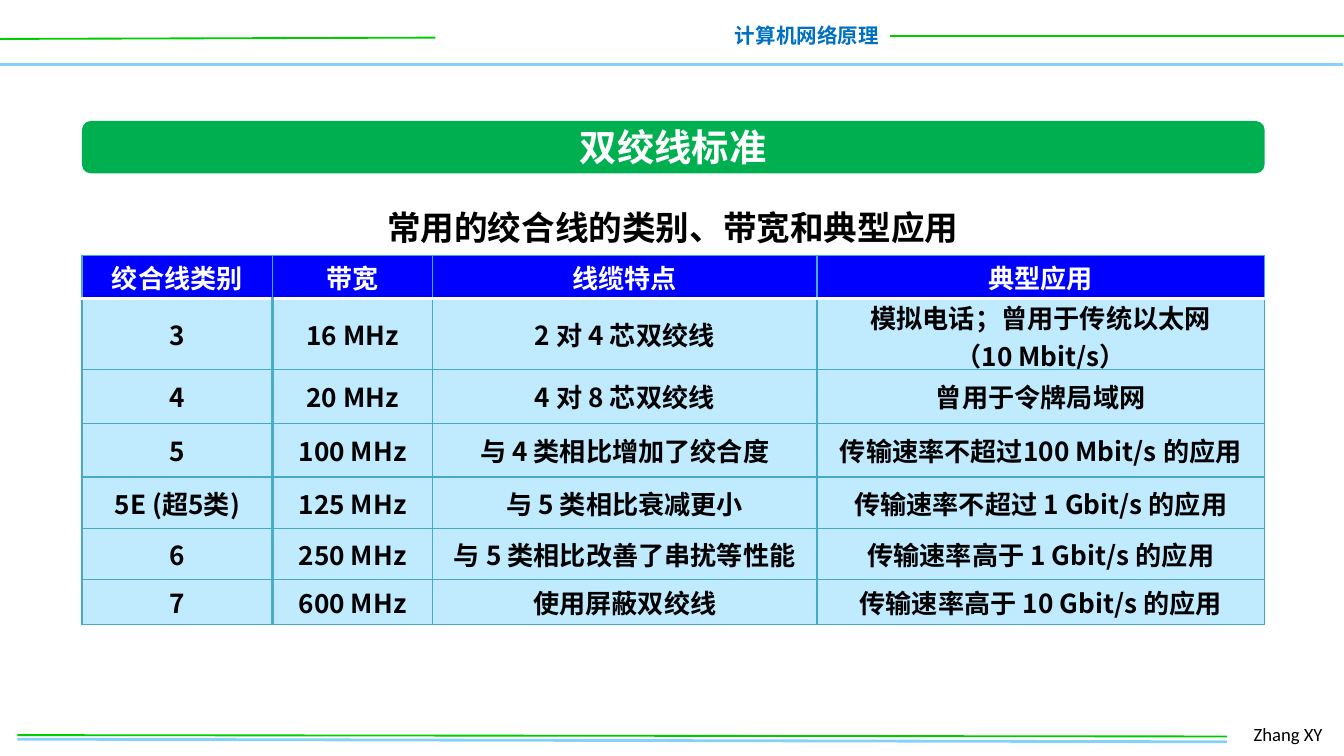
from dataclasses import dataclass
from lxml import etree
from pptx import Presentation
from pptx.dml.color import RGBColor
from pptx.enum import shapes, text
from pptx.oxml import ns
from pptx.util import Inches, Pt


@dataclass(frozen=True)
class Theme:
    cjk: str = "Noto Sans CJK SC"
    latin: str = "Calibri"
    sky: str = "85D1F7"
    lime: str = "00CC00"
    blue: str = "0070C0"
    green: str = "00B050"
    head: str = "0000FF"
    body: str = "C0EBFF"
    edge: str = "46AAC5"
    rule: str = "4BACC6"
    white: str = "FFFFFF"
    black: str = "000000"
    brand: int = 11
    foot: int = 10
    title: int = 20
    lead: int = 18
    cell: int = 14


@dataclass(frozen=True)
class Line:
    x1: float
    y1: float
    x2: float
    y2: float
    color: str
    width: float


@dataclass(frozen=True)
class Label:
    words: str
    x: float
    y: float
    w: float
    h: float
    size: int
    color: str
    font: str
    align: text.PP_ALIGN
    bold: bool = True
    wrap: bool = False


T = Theme()
MID = text.PP_ALIGN.CENTER

LINES = [
    Line(-0.01, 0.48, 9.99, 0.48, T.sky, 2),
    Line(0, 0.29, 3.24, 0.28, T.lime, 1),
    Line(6.62, 0.27, 10.01, 0.27, T.lime, 1),
    Line(0.13, 5.5, 9.13, 5.52, T.sky, 1.5),
    Line(0.13, 5.47, 9.13, 5.48, T.lime, 1),
]
TITLE = Label("双绞线标准", 4.21, 0.87, 1.6, 0.44, T.title, T.white, T.cjk, MID)
LABELS = [
    Label("计算机网络原理", 5.36, 0.12, 1.28, 0.29, T.brand, T.blue, T.cjk,
          text.PP_ALIGN.RIGHT),
    Label("Zhang XY", 9.23, 5.33, 0.74, 0.27, T.foot, T.black, T.latin,
          text.PP_ALIGN.LEFT, False, True),
    Label("常用的绞合线的类别、带宽和典型应用", 2.76, 1.49, 4.49, 0.4, T.lead,
          T.black, T.cjk, MID),
]
COLS = [1.42, 1.19, 2.86, 3.33]
ROWS = [0.32, 0.53, 0.4, 0.4, 0.38, 0.38, 0.34]
CELLS = [
    ["绞合线类别", "带宽", "线缆特点", "典型应用"],
    ["3", "16 MHz", "2 对 4 芯双绞线", "模拟电话；曾用于传统以太网\n（10 Mbit/s）"],
    ["4", "20 MHz", "4 对 8 芯双绞线", "曾用于令牌局域网"],
    ["5", "100 MHz", "与 4 类相比增加了绞合度", "传输速率不超过100 Mbit/s 的应用"],
    ["5E (超5类)", "125 MHz", "与 5 类相比衰减更小", "传输速率不超过 1 Gbit/s 的应用"],
    ["6", "250 MHz", "与 5 类相比改善了串扰等性能", "传输速率高于 1 Gbit/s 的应用"],
    ["7", "600 MHz", "使用屏蔽双绞线", "传输速率高于 10 Gbit/s 的应用"],
]


def style(frame, size: int, color: str, font: str, align, bold: bool) -> None:
    for para in frame.paragraphs:
        para.alignment = align
        para.font.size = Pt(size)
        para.font.bold = bold
        para.font.color.rgb = RGBColor.from_string(color)
        para.font.name = font
        props = para._p.pPr.find(ns.qn("a:defRPr"))
        face = etree.SubElement(props, ns.qn("a:ea"))
        face.set("typeface", font)


def draw_line(slide, line: Line) -> None:
    wire = slide.shapes.add_connector(
        shapes.MSO_CONNECTOR.STRAIGHT, Inches(line.x1), Inches(line.y1),
        Inches(line.x2), Inches(line.y2))
    wire.line.color.rgb = RGBColor.from_string(line.color)
    wire.line.width = Pt(line.width)
    etree.SubElement(wire._element.spPr, ns.qn("a:effectLst"))


def fill_label(box, label: Label) -> None:
    box.left, box.top = Inches(label.x), Inches(label.y)
    box.width, box.height = Inches(label.w), Inches(label.h)
    frame = box.text_frame
    frame.text = label.words
    frame.word_wrap = label.wrap
    frame.auto_size = text.MSO_AUTO_SIZE.SHAPE_TO_FIT_TEXT
    frame.vertical_anchor = text.MSO_ANCHOR.TOP
    style(frame, label.size, label.color, label.font, label.align, label.bold)


def draw_label(slide, label: Label) -> None:
    fill_label(slide.shapes.add_textbox(0, 0, 0, 0), label)


def draw_title(slide) -> None:
    bar = slide.shapes.add_shape(
        shapes.MSO_SHAPE.ROUNDED_RECTANGLE, Inches(0.61), Inches(0.9),
        Inches(8.8), Inches(0.39))
    bar.adjustments[0] = 0.17
    bar.shadow.inherit = False
    bar.fill.solid()
    bar.fill.fore_color.rgb = RGBColor.from_string(T.green)
    bar.line.fill.background()
    title = slide.shapes.title
    fill_label(title, TITLE)
    bar._element.addnext(title._element)


def add_edge(cell, side: str, color: str, width: float) -> None:
    edge = etree.SubElement(cell._tc.get_or_add_tcPr(), ns.qn(f"a:ln{side}"))
    edge.set("w", str(Pt(width)))
    fill = etree.SubElement(edge, ns.qn("a:solidFill"))
    etree.SubElement(fill, ns.qn("a:srgbClr")).set("val", color)


def draw_cell(cell, words: str, row: int, col: int) -> None:
    edges = {side: (T.edge, 0.75) for side in "LRTB"}
    if row == 0:
        edges["B"] = (T.white, 2)
    if row == 1 and col > 0:
        edges["T"] = (T.white, 2)
    if row > 0 and col < 2:
        edges["LR"[col == 0]] = (T.rule, 2)
    for side, (color, width) in edges.items():
        add_edge(cell, side, color, width)
    cell.fill.solid()
    cell.fill.fore_color.rgb = RGBColor.from_string(T.body if row else T.head)
    cell.margin_left = cell.margin_right = Inches(0.03)
    cell.margin_top = cell.margin_bottom = 0
    cell.vertical_anchor = text.MSO_ANCHOR.MIDDLE
    cell.text_frame.text = words
    style(cell.text_frame, T.cell, T.black if row else T.white, T.cjk, MID, True)


def draw_table(slide) -> None:
    grid = slide.shapes.add_table(
        len(ROWS), len(COLS), Inches(0.61), Inches(1.9),
        Inches(sum(COLS)), Inches(sum(ROWS))).table
    for col, width in zip(grid.columns, COLS):
        col.width = Inches(width)
    for row, height in zip(grid.rows, ROWS):
        row.height = Inches(height)
    for r, line in enumerate(CELLS):
        for c, words in enumerate(line):
            draw_cell(grid.cell(r, c), words, r, c)


def main() -> None:
    deck = Presentation()
    deck.slide_width = Inches(10)
    deck.slide_height = deck.slide_width * 9 // 16
    slide = deck.slides.add_slide(deck.slide_layouts[5])
    for line in LINES:
        draw_line(slide, line)
    draw_title(slide)
    draw_table(slide)
    for label in LABELS:
        draw_label(slide, label)
    deck.save("out.pptx")


if __name__ == "__main__":
    main()
